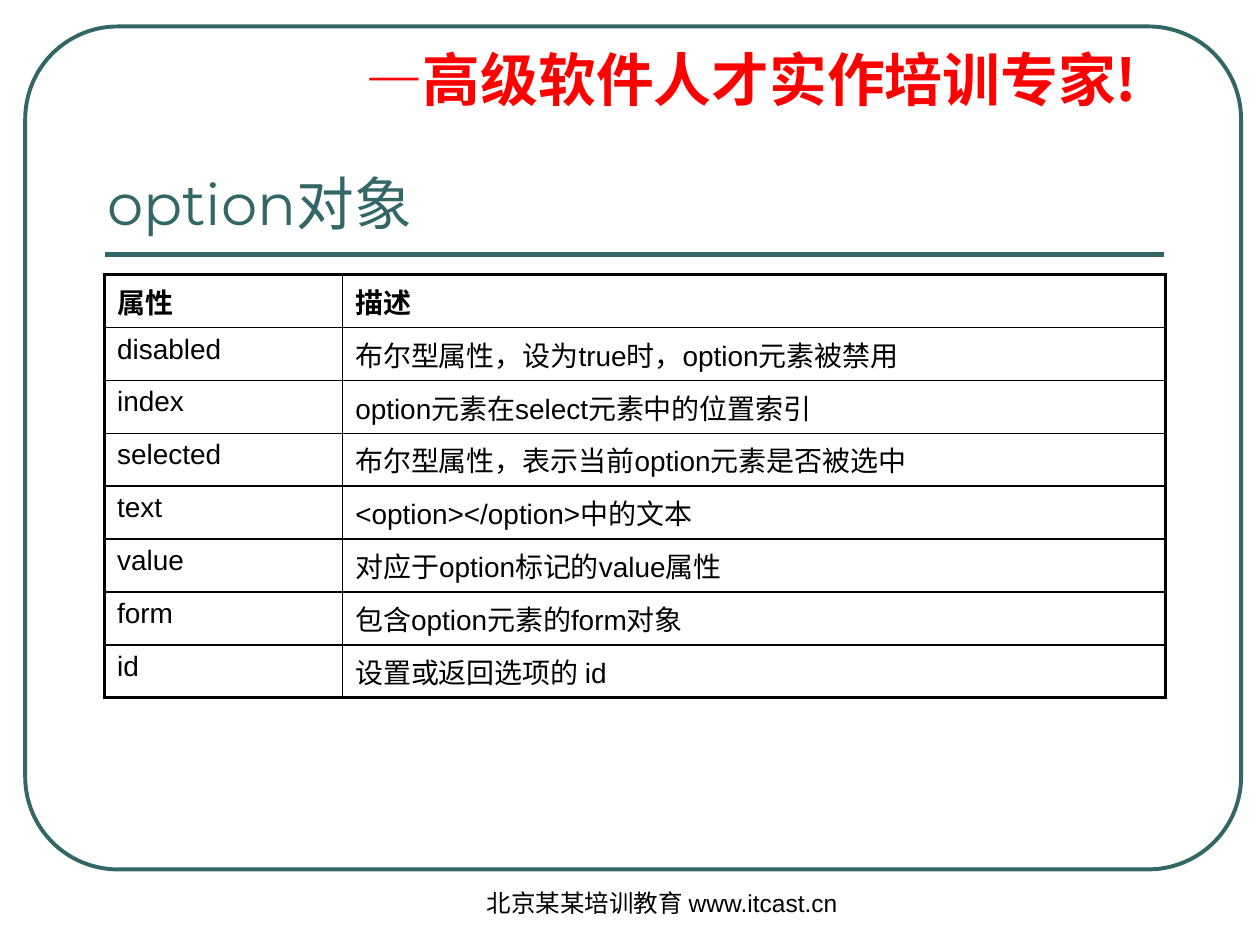
"""Build a slide that lists the properties of the option object."""
from typing import NamedTuple

from lxml import etree
from pptx import Presentation
from pptx.dml.color import RGBColor
from pptx.enum.shapes import MSO_CONNECTOR, MSO_SHAPE
from pptx.enum.text import MSO_ANCHOR, MSO_AUTO_SIZE, PP_ALIGN
from pptx.oxml.ns import qn
from pptx.util import Inches, Pt

LINE = MSO_CONNECTOR.STRAIGHT
ROUND = MSO_SHAPE.ROUNDED_RECTANGLE
BOTTOM, TOP = MSO_ANCHOR.BOTTOM, MSO_ANCHOR.TOP
GROW, FIXED = MSO_AUTO_SIZE.SHAPE_TO_FIT_TEXT, MSO_AUTO_SIZE.NONE
LEFT, CENTER = PP_ALIGN.LEFT, PP_ALIGN.CENTER
TEAL, RED, BLACK = "336666", "FF0000", "000000"
HAN, HEAD, BODY = "Noto Sans CJK SC", "Montserrat", "Arial"
THICK, THIN = 2.25, 1


class Style(NamedTuple):
    face: str
    size: float
    hue: str
    bold: bool = False


class Prop(NamedTuple):
    name: str
    note: str


PROPS = [
    Prop("属性", "描述"),
    Prop("disabled", "布尔型属性，设为true时，option元素被禁用"),
    Prop("index", "option元素在select元素中的位置索引"),
    Prop("selected", "布尔型属性，表示当前option元素是否被选中"),
    Prop("text", "<option></option>中的文本"),
    Prop("value", "对应于option标记的value属性"),
    Prop("form", "包含option元素的form对象"),
    Prop("id", "设置或返回选项的 id"),
]
WIDTHS = [1.89, 6.53]
ROW = 0.42


def color(hue: str) -> RGBColor:
    """Turn a hex string into a colour."""
    return RGBColor.from_string(hue)


def write(para, text: str, style: Style) -> None:
    """Add one styled run to a paragraph."""
    run = para.add_run()
    run.text = text
    values = {"name": style.face, "size": Pt(style.size), "bold": style.bold}
    for key, value in values.items():
        setattr(run.font, key, value)
    run.font.color.rgb = color(style.hue)
    etree.SubElement(run.font._element, qn("a:ea"), typeface=HAN)


def setup(frame, fit, anchor, align):
    """Set up a text frame and return its first paragraph."""
    values = {"word_wrap": True, "auto_size": fit, "vertical_anchor": anchor}
    for key, value in values.items():
        setattr(frame, key, value)
    para = frame.paragraphs[0]
    para.alignment = align
    return para


def stroke(shape, width: float) -> None:
    """Give a shape or connector a teal line."""
    shape.line.color.rgb = color(TEAL)
    shape.line.width = Pt(width)


def border(cell, widths: dict[str, float]) -> None:
    """Draw the black borders of a cell, then clear its fill."""
    props = cell._tc.get_or_add_tcPr()
    for side, width in widths.items():
        edge = etree.SubElement(props, qn(f"a:{side}"), w=str(Pt(width)))
        fill = etree.SubElement(edge, qn("a:solidFill"))
        etree.SubElement(fill, qn("a:srgbClr"), val=BLACK)
    cell.fill.background()


def frame(slide) -> None:
    """Draw the rounded frame and the rule below the title."""
    box = slide.shapes.add_shape(
        ROUND, Inches(0.2), Inches(0.21), Inches(9.65), Inches(6.69))
    box.adjustments[0] = 0.11
    box.shadow.inherit = False
    box.fill.background()
    stroke(box, 2.25)
    rule = slide.shapes.add_connector(
        LINE, Inches(0.83), Inches(2.02), Inches(9.24), Inches(2.02))
    stroke(rule, 3)
    etree.SubElement(rule._element.spPr, qn("a:effectLst"))


def labels(slide) -> None:
    """Write the slogan, the footer and the title."""
    box = slide.shapes.add_textbox(
        Inches(2.8), Inches(0.36), Inches(6.3), Inches(0.6))
    para = setup(box.text_frame, GROW, TOP, LEFT)
    para.line_spacing = 0.9
    indent = Inches(0.38)
    para._p.get_or_add_pPr().set("marL", str(indent))
    para._p.get_or_add_pPr().set("indent", str(-indent))
    write(para, "—", Style(HEAD, 33, RED, True))
    write(para, "高级软件人才实作培训专家!", Style(HAN, 33, RED, True))

    foot = slide.shapes.add_textbox(
        Inches(3.67), Inches(7), Inches(3.17), Inches(0.5))
    para = setup(foot.text_frame, FIXED, TOP, CENTER)
    write(para, "北京某某培训教育 www.itcast.cn", Style(BODY, 14, BLACK))

    title = slide.shapes.title
    spot = {"left": 0.75, "top": 0.36, "width": 8.42, "height": 1.57}
    for key, value in spot.items():
        setattr(title, key, Inches(value))
    para = setup(title.text_frame, FIXED, BOTTOM, LEFT)
    write(para, "option对象", Style(HEAD, 33, TEAL))


def grid(slide) -> None:
    """Draw the table of properties."""
    table = slide.shapes.add_table(
        len(PROPS), len(WIDTHS), Inches(0.83), Inches(2.18),
        Inches(sum(WIDTHS)), Inches(ROW * len(PROPS))).table
    table.horz_banding = False
    for col, width in zip(table.columns, WIDTHS):
        col.width = Inches(width)
    last = len(PROPS) - 1
    for i, prop in enumerate(PROPS):
        table.rows[i].height = Inches(ROW)
        for j, text in enumerate(prop):
            cell = table.cell(i, j)
            para = cell.text_frame.paragraphs[0]
            write(para, text, Style(BODY, 16, BLACK, i == 0))
            border(cell, {
                "lnL": THICK if j == 0 else THIN,
                "lnR": THICK if j == 1 else THIN,
                "lnT": THICK if i == 0 else THIN,
                "lnB": THICK if i == last else THIN,
            })


def main() -> None:
    """Build and save the slide."""
    deck = Presentation()
    deck.slide_width, deck.slide_height = Inches(10), Inches(7.5)
    slide = deck.slides.add_slide(deck.slide_layouts[5])
    frame(slide)
    labels(slide)
    grid(slide)
    deck.save("out.pptx")


if __name__ == "__main__":
    main()
